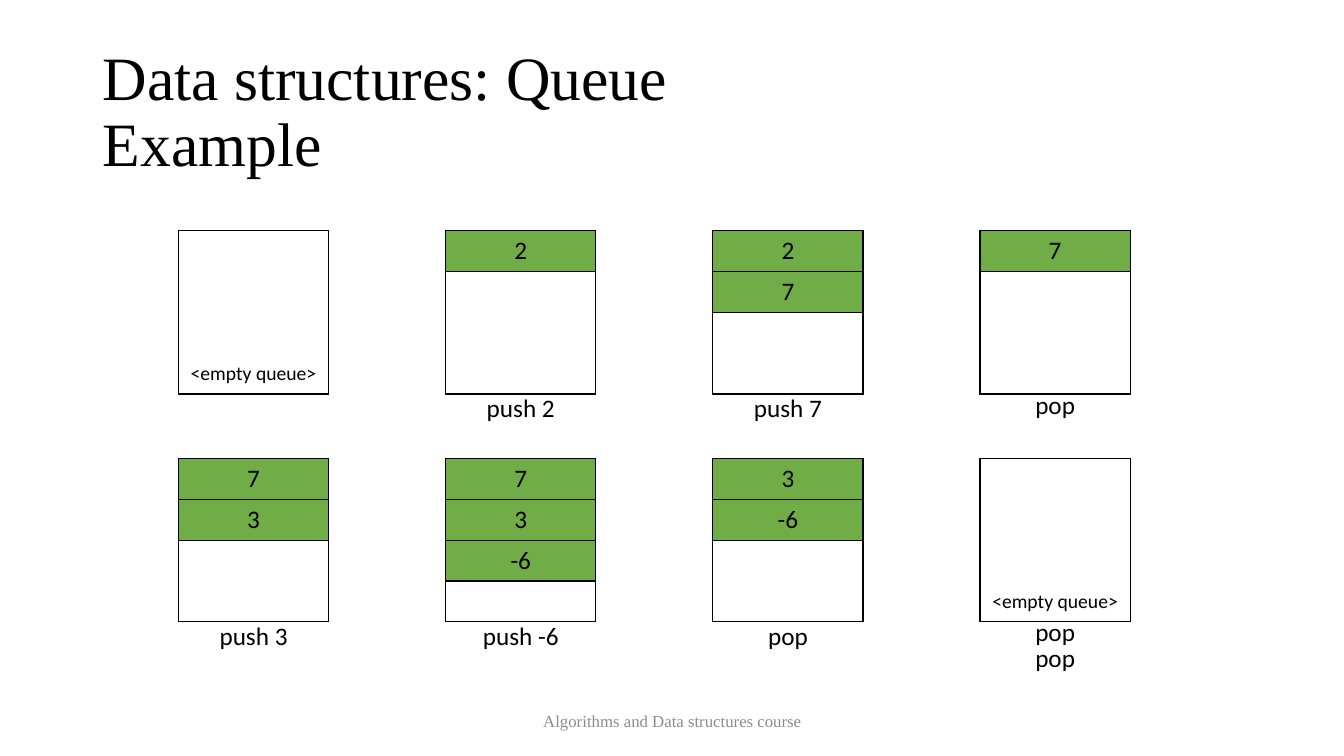
from lxml import etree
from pptx import Presentation
from pptx import util as u
from pptx.dml.color import RGBColor
from pptx.enum import text
from pptx.oxml import ns

BLACK, GREEN, GREY = "000000", "70AD47", "8C8C8C"
COLUMN_WIDTH, CELL_HEIGHT, CAPACITY = 1.49, 0.405, 4
FIRST_LEFT, COLUMN_PITCH = 1.77, 2.65
ROW_TOPS = (2.29, 4.55)

# Contents of each queue, then its captions as (wording, offset below the queue top)
QUEUES = [
    ([], []),
    (["2"], [("push 2", 1.55)]),
    (["2", "7"], [("push 7", 1.55)]),
    (["7"], [("pop", 1.52)]),
    (["7", "3"], [("push 3", 1.55)]),
    (["7", "3", "-6"], [("push -6", 1.56)]),
    (["3", "-6"], [("pop", 1.56)]),
    ([], [("pop", 1.52), ("pop", 1.77)]),
]


def colour(value):
    return RGBColor.from_string(value)


class QueueSlide:
    body = {"name": "Calibri", "size": u.Pt(18)}
    small = {"name": "Calibri", "size": u.Pt(14)}
    heading = {"name": "Times New Roman", "size": u.Pt(44)}
    footer = {"name": "Times New Roman", "size": u.Pt(12)}

    def __init__(self, slide):
        self.slide = slide

    def set_text(self, frame, wording, style, ink=BLACK, **layout):
        paragraph = frame.paragraphs[0]
        paragraph.text = wording
        for name, value in layout.items():
            setattr(paragraph, name, value)
        for run in paragraph.runs:
            for name, value in style.items():
                setattr(run.font, name, value)
            run.font.color.rgb = colour(ink)

    def label(self, box, wording, style, ink=BLACK,
              anchor=text.MSO_ANCHOR.TOP, **layout):
        shape = self.slide.shapes.add_textbox(*map(u.Inches, box))
        frame = shape.text_frame
        frame.word_wrap = True
        frame.vertical_anchor = anchor
        self.set_text(frame, wording, style, ink, **layout)

    def borders(self, cell, visible):
        properties = cell._tc.get_or_add_tcPr()
        for position, side in enumerate("LRTB"):
            line = etree.Element(ns.qn(f"a:ln{side}"), w=str(u.Pt(1)))
            if side in visible:
                fill = etree.SubElement(line, ns.qn("a:solidFill"))
                etree.SubElement(fill, ns.qn("a:srgbClr"), val=BLACK)
            else:
                etree.SubElement(line, ns.qn("a:noFill"))
            properties.insert(position, line)

    def queue(self, left, top, values):
        box = (left, top, COLUMN_WIDTH, CELL_HEIGHT * CAPACITY)
        table = self.slide.shapes.add_table(CAPACITY, 1, *map(u.Inches, box)).table
        table.first_row = table.horz_banding = False
        for index in range(CAPACITY):
            cell = table.cell(index, 0)
            cell.vertical_anchor = text.MSO_ANCHOR.MIDDLE
            last = index == CAPACITY - 1
            if index < len(values):
                cell.fill.solid()
                cell.fill.fore_color.rgb = colour(GREEN)
                self.set_text(cell.text_frame, values[index], self.body,
                              alignment=text.PP_ALIGN.CENTER)
                self.borders(cell, "LRTB")
            else:
                cell.fill.background()
                if last and not values:
                    self.set_text(cell.text_frame, "<empty queue>", self.small,
                                  alignment=text.PP_ALIGN.CENTER)
                top_line = "T" if index == len(values) else ""
                self.borders(cell, "LR" + top_line + ("B" if last else ""))


def main():
    presentation = Presentation()
    presentation.slide_width = u.Inches(13.33)
    presentation.slide_height = u.Inches(7.5)
    page = QueueSlide(presentation.slides.add_slide(presentation.slide_layouts[6]))

    # Title and footer
    page.label((0.92, 0.4, 11.5, 1.45), "Data structures: Queue\vExample",
               page.heading, anchor=text.MSO_ANCHOR.MIDDLE, line_spacing=0.9)
    page.label((4.42, 6.95, 4.5, 0.4), "Algorithms and Data structures course",
               page.footer, GREY, text.MSO_ANCHOR.MIDDLE,
               alignment=text.PP_ALIGN.CENTER)

    # Queue states with the operations that led to them
    for number, (values, captions) in enumerate(QUEUES):
        row, column = divmod(number, 4)
        left, top = FIRST_LEFT + column * COLUMN_PITCH, ROW_TOPS[row]
        page.queue(left, top, values)
        for wording, offset in captions:
            page.label((left, top + offset, COLUMN_WIDTH, 0.4), wording, page.body,
                       alignment=text.PP_ALIGN.CENTER)

    presentation.save("out.pptx")


if __name__ == "__main__":
    main()
